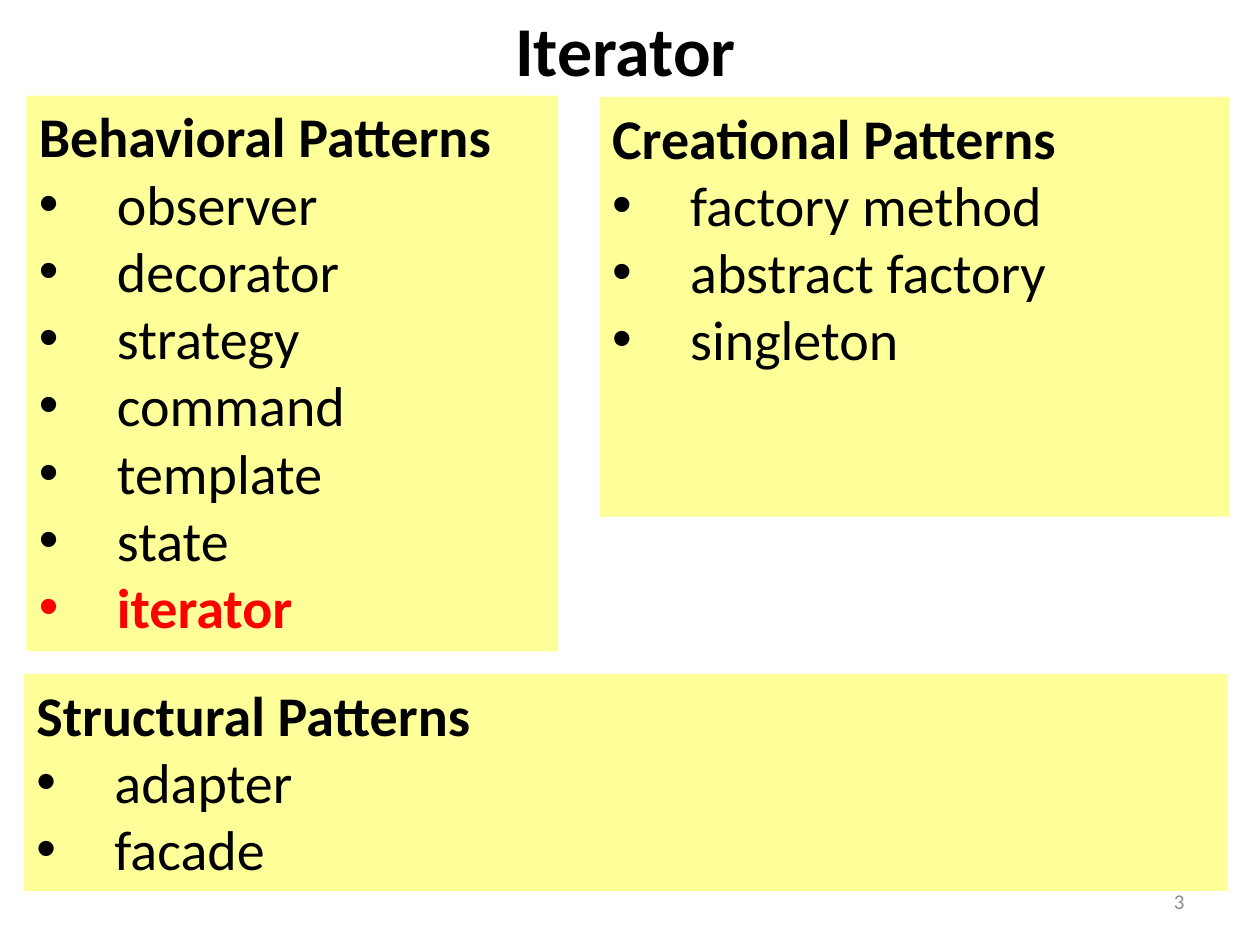
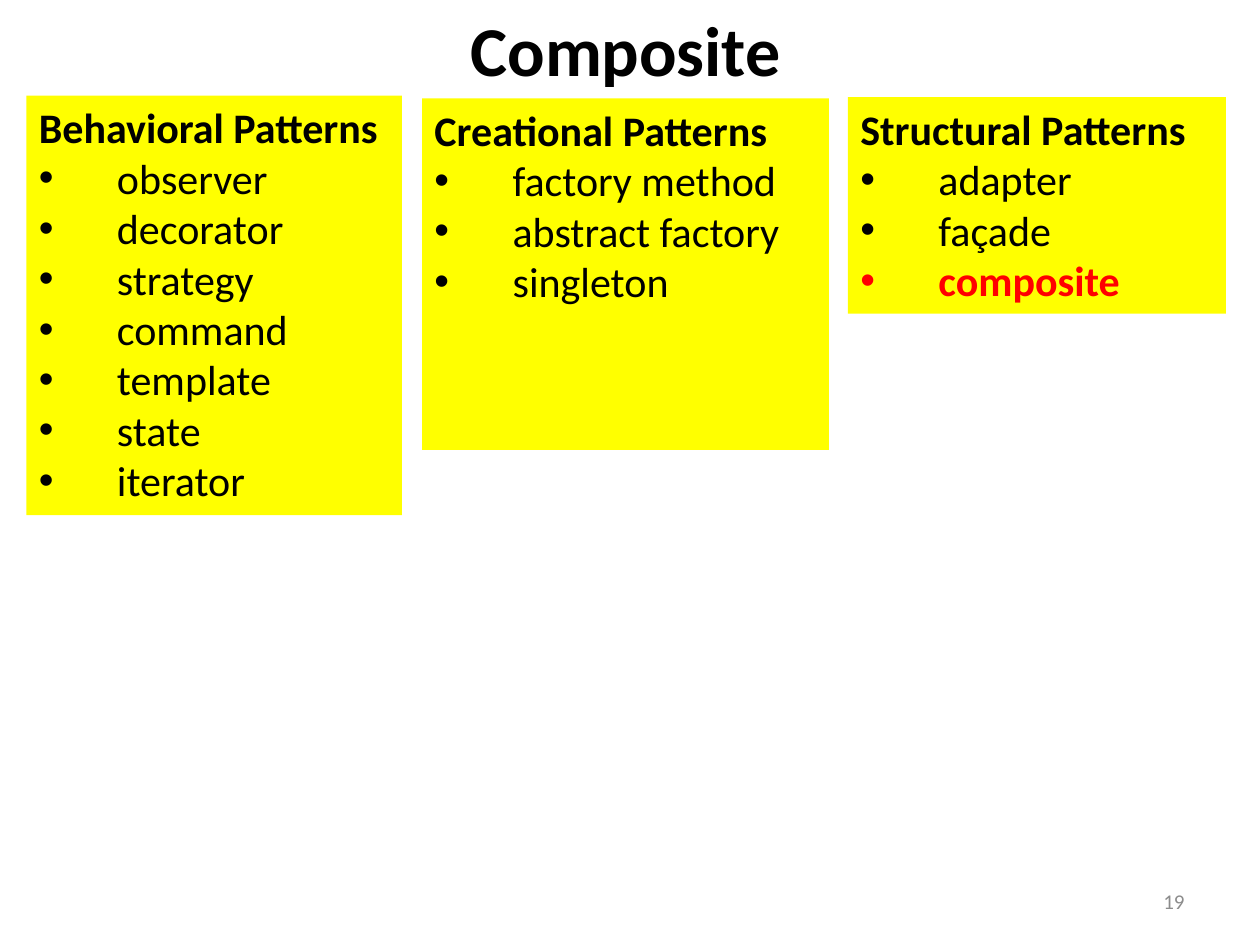
from lxml.etree import SubElement
from pptx import Presentation
from pptx.dml.color import RGBColor
from pptx.enum.shapes import MSO_SHAPE as Shape
from pptx.enum.text import MSO_ANCHOR as Anchor, MSO_AUTO_SIZE as AutoSize, PP_ALIGN as Align
from pptx.oxml.ns import qn
from pptx.util import Inches, Pt

FONT = "Calibri"
INK, ACCENT, MUTED = "000000", "FF0000", "8C8C8C"
PALE_YELLOW, YELLOW = "FFFF99", "FFFF00"
COLUMNS, ROWS = 100, 75
TITLE_ONLY = 5
BULLET_INDENT = Inches(0.62)

BEHAVIORAL = ["observer", "decorator", "strategy", "command", "template", "state", "iterator"]
CREATIONAL = ["factory method", "abstract factory", "singleton"]


def rgb(color):
    return RGBColor.from_string(color)


class PatternDeck:
    def __init__(self):
        self.deck = Presentation()
        self.deck.slide_width, self.deck.slide_height = Inches(10), Inches(7.5)
        self.slide = None

    def grid(self, column, row, columns, rows):
        """Turn a cell range of the slide grid into left, top, width, height."""
        cell_width = self.deck.slide_width / COLUMNS
        cell_height = self.deck.slide_height / ROWS
        return (round(column * cell_width), round(row * cell_height),
                round(columns * cell_width), round(rows * cell_height))

    def add_text(self, paragraph, text, size, color=INK, bold=False, align=Align.LEFT):
        paragraph.alignment = align
        run = paragraph.add_run()
        run.text = text
        run.font.name, run.font.size, run.font.bold = FONT, Pt(size), bold
        run.font.color.rgb = rgb(color)

    def prepare(self, frame, anchor=Anchor.TOP):
        """Set up a text frame and return its first paragraph."""
        frame.word_wrap = True
        frame.auto_size = AutoSize.NONE
        frame.vertical_anchor = anchor
        return frame.paragraphs[0]

    def bullet(self, paragraph):
        properties = paragraph._p.get_or_add_pPr()
        properties.set("marL", str(BULLET_INDENT))
        properties.set("indent", str(-BULLET_INDENT))
        SubElement(properties, qn("a:buFont"), typeface="Arial")
        SubElement(properties, qn("a:buChar"), char="•")

    def start(self, title, number):
        self.slide = self.deck.slides.add_slide(self.deck.slide_layouts[TITLE_ONLY])
        heading = self.slide.shapes.title
        heading.left, heading.top, heading.width, heading.height = self.grid(33.5, 0, 32.3, 7.7)
        self.add_text(self.prepare(heading.text_frame), title, 40, bold=True, align=Align.CENTER)
        page = self.slide.shapes.add_textbox(*self.grid(71.7, 69.5, 23.3, 4))
        self.add_text(self.prepare(page.text_frame, Anchor.MIDDLE), str(number), 12, MUTED,
                      align=Align.RIGHT)

    def panel(self, cells, heading, patterns, size, fill, current=None):
        """Add a filled list of patterns, with the current one highlighted."""
        panel = self.slide.shapes.add_shape(Shape.RECTANGLE, *self.grid(*cells))
        panel.shadow.inherit = False
        panel.fill.solid()
        panel.fill.fore_color.rgb = rgb(fill)
        panel.line.fill.background()
        frame = panel.text_frame
        self.add_text(self.prepare(frame), heading, size, bold=True)
        for pattern in patterns:
            item = frame.add_paragraph()
            is_current = pattern == current
            self.add_text(item, pattern, size, ACCENT if is_current else INK, is_current)
            self.bullet(item)

    def overview(self, title, number, size, fill, structural, areas):
        """Add a slide with the three families of patterns, one per area."""
        self.start(title, number)
        families = [("Behavioral Patterns", BEHAVIORAL),
                    ("Creational Patterns", CREATIONAL),
                    ("Structural Patterns", structural)]
        for cells, (heading, patterns) in zip(areas, families):
            self.panel(cells, heading, patterns, size, fill, current=title.lower())


def main():
    patterns = PatternDeck()
    patterns.overview("Iterator", 3, 32, PALE_YELLOW, ["adapter", "facade"],
                      [(2.1, 7.6, 42.2, 44.1), (47.6, 7.7, 50, 33.3), (1.9, 53.5, 95.5, 17.2)])
    patterns.overview("Composite", 19, 24, YELLOW, ["adapter", "façade", "composite"],
                      [(2.1, 7.6, 29.8, 33.3), (33.5, 7.8, 32.3, 27.9), (67.3, 7.7, 30, 17.2)])
    patterns.deck.save("out.pptx")


if __name__ == "__main__":
    main()
